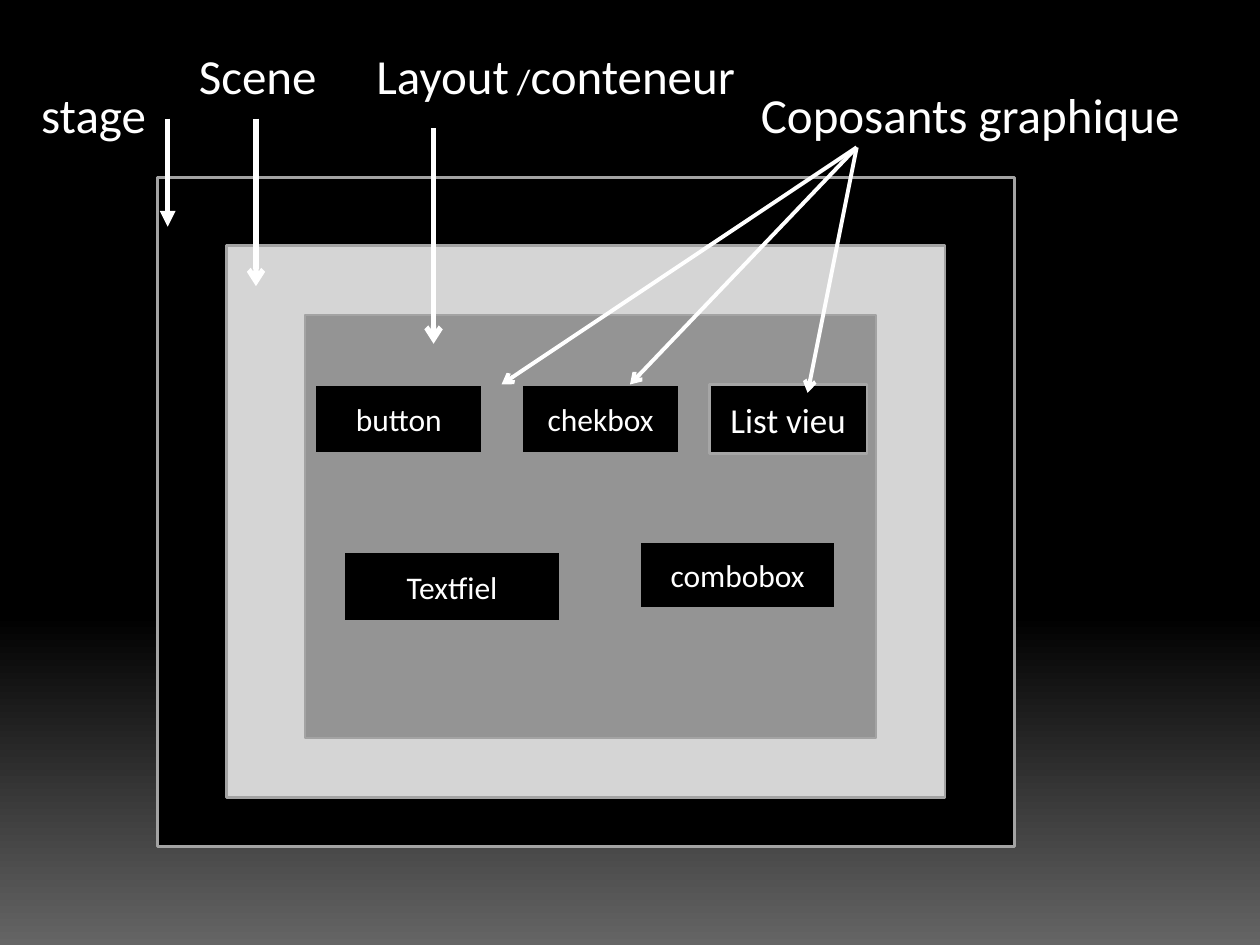
from copy import deepcopy
from typing import Any, NamedTuple

from lxml.etree import SubElement
from pptx import Presentation
from pptx.dml.color import RGBColor
from pptx.enum.shapes import MSO_CONNECTOR as Connector, MSO_SHAPE as Preset
from pptx.enum.text import MSO_ANCHOR as Anchor, MSO_AUTO_SIZE as AutoSize, PP_ALIGN as Align
from pptx.oxml.ns import qn
from pptx.slide import Slide
from pptx.util import Cm, Pt

FONT = "Calibri"
WHITE, BLACK = "FFFFFF", "000000"
FRAME_EDGE, WIDGET_EDGE, LIST_EDGE = "A3A3A3", "949494", "A6A6A6"


class Box(NamedTuple):
    """A rectangle; lengths in centimetres."""
    left: float
    top: float
    width: float
    height: float
    fill: str = BLACK
    edge: str = FRAME_EDGE
    text: str = ""
    size: int = 18


class Arrow(NamedTuple):
    """An arrow from start to end; points in centimetres."""
    start: tuple[float, float]
    end: tuple[float, float]
    width: float = 3
    head: str = "arrow"


class Label(NamedTuple):
    """A caption made of (text, size) runs; lengths in centimetres."""
    left: float
    top: float
    width: float
    height: float
    runs: list[tuple[str, int]]
    wrap: bool = True


FRAMES = [
    Box(3.18, 3.58, 17.27, 13.49),
    Box(4.57, 4.95, 14.48, 11.13, "D5D5D5"),
    Box(6.15, 6.35, 11.51, 8.53, "949494"),
]

ROW_TOP, WIDGET_HEIGHT = 7.75, 1.4
WIDGETS = [
    Box(14.3, ROW_TOP, 3.18, WIDGET_HEIGHT, BLACK, LIST_EDGE, "List vieu", 20),
    Box(10.52, ROW_TOP, 3.18, WIDGET_HEIGHT, BLACK, WIDGET_EDGE, "chekbox"),
    Box(6.35, ROW_TOP, 3.38, WIDGET_HEIGHT, BLACK, WIDGET_EDGE, "button"),
    Box(12.9, 10.92, 3.94, 1.35, BLACK, WIDGET_EDGE, "combobox"),
    Box(6.93, 11.13, 4.37, WIDGET_HEIGHT, BLACK, WIDGET_EDGE, "Textfiel"),
]

FAN_START = (17.27, 2.97)
FAN_ENDS = [(12.7, ROW_TOP), (16.28, 7.92), (10.11, ROW_TOP)]
ARROWS = [
    Arrow((3.38, 2.39), (3.38, 4.57), head="triangle"),
    Arrow((5.16, 2.39), (5.16, 5.77)),
    Arrow((8.74, 2.59), (8.74, 6.93)),
    *(Arrow(FAN_START, end, 2.25) for end in FAN_ENDS),
]

LOW, HIGH = 1.57, 0.79
LABELS = [
    Label(0.58, LOW, 5.16, 1.45, [("stage", 28)]),
    Label(3.76, HIGH, 4.17, 1.45, [("Scene", 28)]),
    Label(7.34, HIGH, 8.76, 2.31, [("Layout", 28), (" /", 20), ("conteneur", 28)], False),
    Label(15.09, LOW, 10.31, 1.45, [("Coposants graphique", 28)]),
]

BACKGROUND_STOPS = [(0, BLACK), (0.65, BLACK), (1, "656565")]


def colour(code: str) -> RGBColor:
    return RGBColor.from_string(code)


def apply_format(target: Any, values: dict[str, Any]) -> None:
    for name, value in values.items():
        setattr(target, name, value)


def add_run(paragraph: Any, text: str, size: int) -> None:
    run = paragraph.add_run()
    run.text = text
    apply_format(run.font, {"name": FONT, "size": Pt(size)})
    run.font.color.rgb = colour(WHITE)


def paint_background(slide: Slide) -> None:
    fill = slide.background.fill
    fill.gradient()
    fill.gradient_angle = 270
    stop_list = slide.element.find(f".//{qn('a:gsLst')}")
    stop_list.append(deepcopy(stop_list[-1]))
    for stop, (position, code) in zip(fill.gradient_stops, BACKGROUND_STOPS):
        stop.position = position
        stop.color.rgb = colour(code)


def draw_box(slide: Slide, box: Box) -> None:
    shape = slide.shapes.add_shape(Preset.RECTANGLE, *map(Cm, box[:4]))
    shape.shadow.inherit = False
    shape.fill.solid()
    shape.fill.fore_color.rgb = colour(box.fill)
    shape.line.color.rgb = colour(box.edge)
    shape.line.width = Pt(1.5)
    if box.text:
        shape.text_frame.vertical_anchor = Anchor.MIDDLE
        paragraph = shape.text_frame.paragraphs[0]
        paragraph.alignment = Align.CENTER
        add_run(paragraph, box.text, box.size)


def draw_arrow(slide: Slide, arrow: Arrow) -> None:
    connector = slide.shapes.add_connector(
        Connector.STRAIGHT, *map(Cm, arrow.start + arrow.end))
    connector.line.color.rgb = colour(WHITE)
    connector.line.width = Pt(arrow.width)
    properties = connector.element.spPr
    SubElement(properties.find(qn("a:ln")), qn("a:tailEnd"), type=arrow.head)
    SubElement(properties, qn("a:effectLst"))


def draw_label(slide: Slide, label: Label) -> None:
    frame = slide.shapes.add_textbox(*map(Cm, label[:4])).text_frame
    apply_format(frame, {"word_wrap": label.wrap,
                         "auto_size": AutoSize.SHAPE_TO_FIT_TEXT})
    for text, size in label.runs:
        add_run(frame.paragraphs[0], text, size)


def main() -> None:
    presentation = Presentation()
    apply_format(presentation, {"slide_width": Cm(25.4), "slide_height": Cm(19.05)})
    slide = presentation.slides.add_slide(presentation.slide_layouts[6])
    paint_background(slide)
    for box in FRAMES + WIDGETS:
        draw_box(slide, box)
    for arrow in ARROWS:
        draw_arrow(slide, arrow)
    for label in LABELS:
        draw_label(slide, label)
    presentation.save("out.pptx")


if __name__ == "__main__":
    main()
